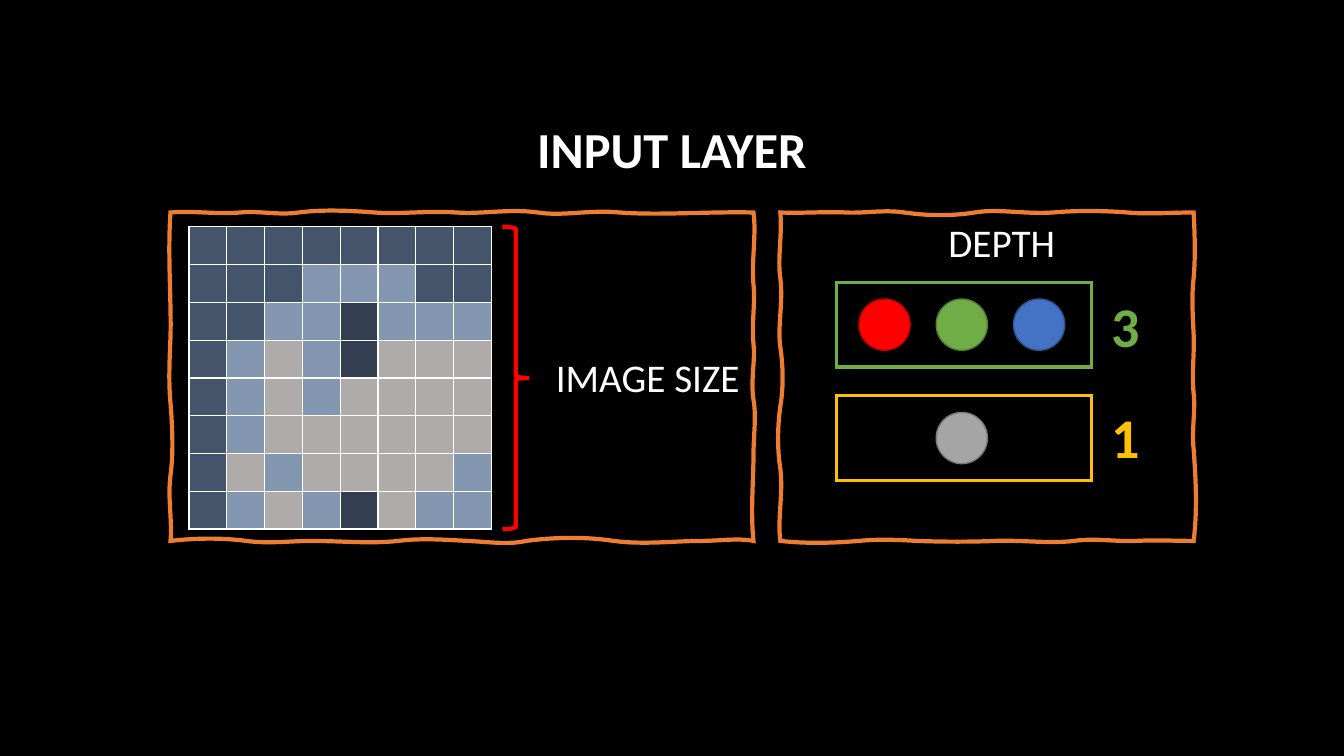
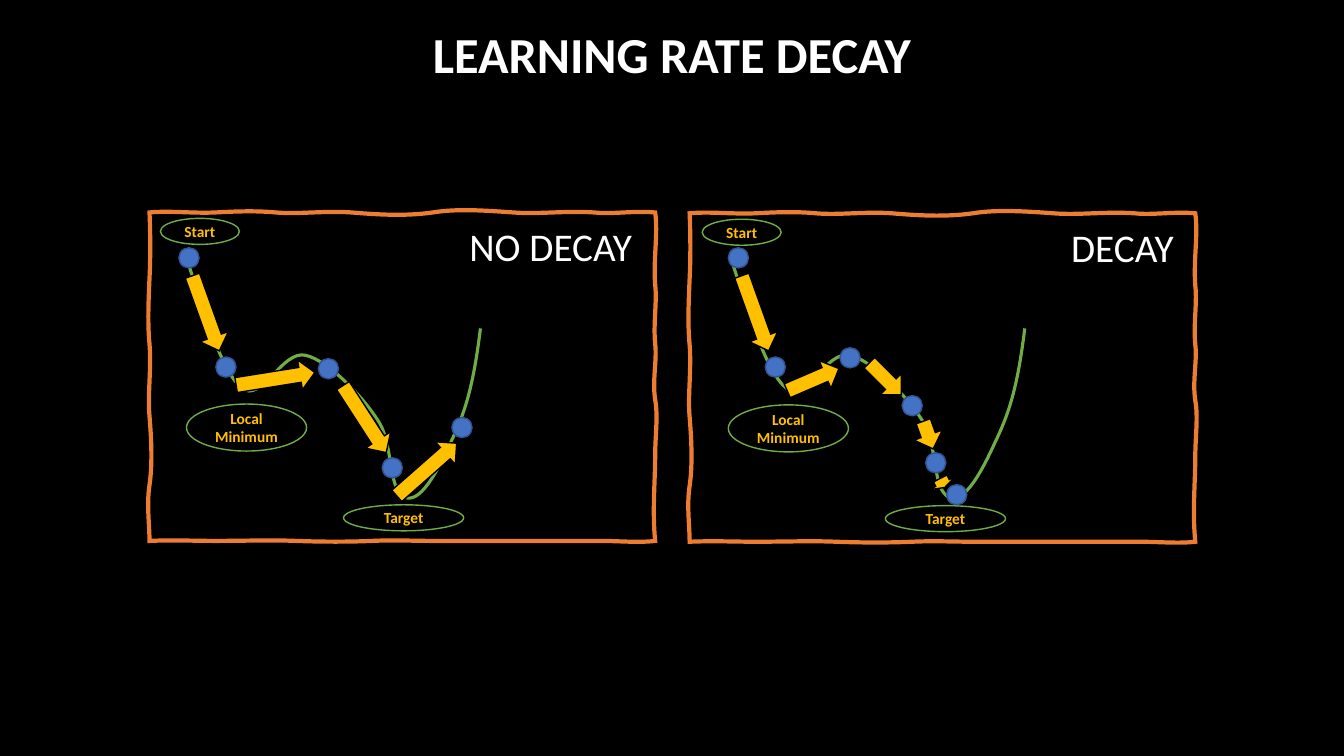
from lxml.etree import SubElement
from pptx import Presentation
from pptx.dml.color import RGBColor
from pptx.enum.shapes import MSO_SHAPE
from pptx.enum.text import MSO_ANCHOR, MSO_AUTO_SIZE, PP_ALIGN
from pptx.oxml.ns import qn
from pptx.util import Inches, Pt

# Grid of 16 columns by 9 rows; all lengths below are counted in its cells
SLIDE_W, SLIDE_H = Inches(13.333), Inches(7.5)
CELL = SLIDE_H / 9

# Shared look
FONT = "Calibri"
BLACK = RGBColor(0x00, 0x00, 0x00)
WHITE = RGBColor(0xFF, 0xFF, 0xFF)
ORANGE = RGBColor(0xED, 0x7D, 0x31)
GOLD = RGBColor(0xFF, 0xC0, 0x00)
GREEN = RGBColor(0x70, 0xAD, 0x47)
DARK_GREEN = RGBColor(0x53, 0x80, 0x35)
BLUE = RGBColor(0x44, 0x72, 0xC4)
DARK_BLUE = RGBColor(0x32, 0x54, 0x91)
RED = RGBColor(0xFF, 0x00, 0x00)
DARK_RED = RGBColor(0xC0, 0x00, 0x00)
GRAY = RGBColor(0xA5, 0xA5, 0xA5)
DARK_GRAY = RGBColor(0x7A, 0x7A, 0x7A)

# Pixels of the input image: slate, mist, night, stone
PIXEL_COLORS = {
    "s": RGBColor(0x44, 0x54, 0x6A),
    "m": RGBColor(0x84, 0x97, 0xB0),
    "n": RGBColor(0x33, 0x3F, 0x50),
    "t": RGBColor(0xAF, 0xAB, 0xAB),
}
PIXEL_ROWS = ["ssssssss", "sssmmmss", "ssmmnmmm", "smtmnttt",
              "smtmtttt", "smtttttt", "stmttttm", "smtmntmm"]

# Sketchy sides, clockwise from the top: stops as shares of the side, then
# the sway on leaving the corner and on reaching each stop
SWAY_UNIT = 0.012
SWAYING_RIGHT = ((0.22, 0.4, 0.57, 0.74, 1), (3, -2, -2, -3, 0, -3))
SIZE_SIDES = [
    ((0.12, 0.22, 0.35, 0.49, 0.63, 0.77, 1), (-2, 2, 3, -2, -2, -4, -3, -1)),
    SWAYING_RIGHT,
    ((0.09, 0.24, 0.39, 0.49, 0.61, 0.76, 0.87, 1),
     (-3, 0, 4, -4, 1, -3, 0, 3, -3)),
    ((0.2, 0.42, 0.62, 1), (2, -3, 2, -1, -3)),
]
DEPTH_SIDES = [
    ((0.16, 0.3, 0.47, 0.66, 0.84, 1), (1, -1, -3, 4, 2, -2, 0)),
    ((0.2, 0.37, 0.55, 0.72, 1), (1, 2, -1, -2, -2, 4)),
    ((0.14, 0.29, 0.48, 0.67, 0.81, 1), (0, -1, -3, -1, 1, -2, 3)),
    ((0.22, 0.41, 0.59, 0.8, 1), (-3, 3, -3, 3, 3, 2)),
]
DESCENT_SIDES = [
    ((0.13, 0.25, 0.4, 0.56, 0.72, 0.88, 1), (-2, 1, -2, -2, 4, -2, -2, -2)),
    SWAYING_RIGHT,
    ((0.11, 0.28, 0.44, 0.56, 0.71, 0.87, 1), (2, 0, 0, 0, -1, 1, 0, -1)),
    ((0.17, 0.38, 0.6, 0.8, 1), (0, -3, 2, 2, -1, 1)),
]

# Loss curve: Bezier segments of two handles and an end
VALLEY = [
    ((0.22, 0.67), (0.42, 1.36), (0.66, 1.55)),
    ((0.89, 1.74), (1.14, 1.09), (1.42, 1.16)),
    ((1.68, 1.22), (2.08, 1.63), (2.27, 1.92)),
    ((2.47, 2.2), (2.39, 2.71), (2.58, 2.84)),
    ((2.77, 2.96), (2.99, 2.54), (3.14, 2.21)),
    ((3.3, 1.88), (3.41, 1.58), (3.5, 0.84)),
]

# Steps are measured from the start of the curve; arrows: x, y, length, angle
NO_DECAY_DOTS = [(0.03, 0), (0.47, 1.3), (1.69, 1.32), (2.45, 2.5),
                 (3.28, 2.02)]
NO_DECAY_ARROWS = [(0.23, 0.66, 0.95, 70.3), (1.06, 1.44, 0.95, 350.9),
                   (2.12, 1.92, 0.95, 57.1), (2.86, 2.52, 0.95, 318.6)]
DECAY_DOTS = [(0.09, 0), (0.53, 1.3), (1.42, 1.19), (2.16, 1.76),
              (2.44, 2.44), (2.69, 2.82)]
DECAY_ARROWS = [(0.29, 0.66, 0.95, 70.3), (0.98, 1.45, 0.67, 336.7),
                (1.84, 1.44, 0.54, 45.2), (2.35, 2.11, 0.35, 70.3),
                (2.52, 2.68, 0.12, 62.9)]


def cells(*counts):
    return [round(count * CELL) for count in counts]


# Text
def write(frame, text, size, color, bold=False, align=PP_ALIGN.LEFT):
    frame.word_wrap = True
    frame.auto_size = MSO_AUTO_SIZE.NONE
    paragraph = frame.paragraphs[0]
    paragraph.alignment = align
    run = paragraph.add_run()
    run.text = text
    run.font.name = FONT
    run.font.size = Pt(size)
    run.font.bold = bold
    run.font.color.rgb = color


def add_text(slide, box, text, size=28, color=WHITE, **style):
    write(slide.shapes.add_textbox(*cells(*box)).text_frame,
          text, size, color, **style)


def add_titled_slide(prs, title, top):
    slide = prs.slides.add_slide(prs.slide_layouts.get_by_name("Title Only"))
    heading = slide.shapes.title
    heading.left, heading.top, heading.width, heading.height = cells(
        4.25, top, 7.5, 0.85)
    heading.text_frame.vertical_anchor = MSO_ANCHOR.TOP
    write(heading.text_frame, title, 36, WHITE, True, PP_ALIGN.CENTER)
    return slide


# Shapes
def paint(shape, fill, line, width):
    shape.shadow.inherit = False
    if fill is None:
        shape.fill.background()
    else:
        shape.fill.solid()
        shape.fill.fore_color.rgb = fill
    shape.line.color.rgb = line
    shape.line.width = Pt(width)
    # Sharp corners
    outline = shape._element.spPr.find(qn("a:ln"))
    SubElement(outline, qn("a:miter"), lim="800000")


def add_preset(slide, kind, box, fill, line, width=1):
    shape = slide.shapes.add_shape(kind, *cells(*box))
    paint(shape, fill, line, width)
    return shape


def add_circle(slide, x, y, diameter, fill, line):
    add_preset(slide, MSO_SHAPE.OVAL,
               (x - diameter / 2, y - diameter / 2, diameter, diameter),
               fill, line)


def add_step_arrow(slide, x, y, length, angle, thickness=0.36):
    arrow = add_preset(slide, MSO_SHAPE.RIGHT_ARROW,
                       (x - length / 2, y - thickness / 2, length, thickness),
                       GOLD, BLACK)
    arrow.rotation = angle


def add_label(slide, box, text):
    label = add_preset(slide, MSO_SHAPE.OVAL, box, BLACK, GREEN)
    frame = label.text_frame
    frame.margin_left = frame.margin_right = 0
    frame.margin_top = frame.margin_bottom = 0
    frame.vertical_anchor = MSO_ANCHOR.MIDDLE
    write(frame, text, 11, GOLD, True, PP_ALIGN.CENTER)


def add_curve(slide, start, segments, color, width, close=False):
    """Freeform through the segment ends, bent by the segment handles."""
    builder = slide.shapes.build_freeform(*cells(*start))
    builder.add_line_segments([cells(*end) for _, _, end in segments], close)
    curve = builder.convert_to_shape()
    straights = list(curve._element.iter(qn("a:lnTo")))
    for straight, segment in zip(straights, segments):
        straight.tag = qn("a:cubicBezTo")
        straight.remove(straight[0])
        for point in segment:
            x, y = cells(*point)
            SubElement(straight, qn("a:pt"),
                       x=str(x - curve.left), y=str(y - curve.top))
    paint(curve, None, color, width)


def add_sketch_frame(slide, left, top, width, height, sides):
    right, bottom = left + width, top + height
    courses = [(left, top, width, 0), (right, top, 0, height),
               (right, bottom, -width, 0), (left, bottom, 0, -height)]
    segments = []
    for (x, y, run, rise), (stops, sways) in zip(courses, sides):
        def spot(share, sway=0):
            offset = sway * SWAY_UNIT
            return (x + run * share + (offset if rise else 0),
                    y + rise * share + (offset if run else 0))

        begin, leaving = 0, sways[0]
        for stop, reaching in zip(stops, sways[1:]):
            length = stop - begin
            segments.append((spot(begin + 0.3 * length, leaving),
                             spot(begin + 0.65 * length, reaching),
                             spot(stop)))
            begin, leaving = stop, -reaching
    add_curve(slide, (left, top), segments, ORANGE, 3, close=True)


def add_valley(slide, left, top):
    segments = [[(left + x, top + y) for x, y in segment]
                for segment in VALLEY]
    add_curve(slide, (left, top), segments, GREEN, 2.25)


# Pixel table
def add_cell_borders(cell, color, width):
    properties = cell._tc.get_or_add_tcPr()
    for side in ("a:lnL", "a:lnR", "a:lnT", "a:lnB"):
        border = SubElement(properties, qn(side), w=str(Pt(width)))
        fill = SubElement(border, qn("a:solidFill"))
        SubElement(fill, qn("a:srgbClr"), val=str(color))


def add_pixel_table(slide, left, top, side):
    count = len(PIXEL_ROWS)
    pixels = slide.shapes.add_table(
        count, count, *cells(left, top, side, side)).table
    pixels.first_row = pixels.horz_banding = False
    for r, row in enumerate(PIXEL_ROWS):
        for c, key in enumerate(row):
            pixel = pixels.cell(r, c)
            pixel.margin_left = pixel.margin_right = 0
            pixel.margin_top = pixel.margin_bottom = 0
            add_cell_borders(pixel, WHITE, 1)
            pixel.fill.solid()
            pixel.fill.fore_color.rgb = PIXEL_COLORS[key]


# Panels
def add_channel_box(slide, top, count_top, color, channels):
    height, pitch, center = 1.01, 0.92, 11.45
    first = center - pitch * (len(channels) - 1) / 2
    for i, (fill, line) in enumerate(channels):
        add_circle(slide, first + i * pitch, top + height / 2, 0.61,
                   fill, line)
    add_preset(slide, MSO_SHAPE.RECTANGLE, (9.96, top, 3.03, height),
               None, color, 2.25)
    add_text(slide, (12.94, count_top, 0.92, 0.92), str(len(channels)),
             40, color, bold=True, align=PP_ALIGN.CENTER)


def add_descent_panel(slide, left, top, heading, label_left, valley_left,
                      dots, arrows):
    valley_top = 3.07
    add_valley(slide, valley_left, valley_top)
    add_sketch_frame(slide, left, top, 6.02, 3.91, DESCENT_SIDES)
    add_text(slide, (label_left + 1.49, top + 0.06, 4.24, 0.69), heading,
             align=PP_ALIGN.RIGHT)
    add_label(slide, (label_left, top + 0.07, 0.94, 0.31), "Start")
    add_label(slide, (label_left + 2.18, top + 3.48, 1.43, 0.31), "Target")
    add_label(slide, (label_left + 0.31, top + 2.28, 1.43, 0.56),
              "Local Minimum")
    for x, y in dots:
        add_circle(slide, valley_left + x, valley_top + y, 0.24,
                   BLUE, DARK_BLUE)
    for x, y, length, angle in arrows:
        add_step_arrow(slide, valley_left + x, valley_top + y, length, angle)


# Slides
def build_input_layer(prs):
    slide = add_titled_slide(prs, "INPUT LAYER", 1.35)
    add_pixel_table(slide, 2.25, 2.7, 3.6)
    add_preset(slide, MSO_SHAPE.RIGHT_BRACE, (5.98, 2.7, 0.32, 3.6),
               None, RED, 3)
    add_text(slide, (6.5, 4.15, 2.52, 0.69), "IMAGE SIZE")
    add_text(slide, (10.4, 2.54, 3.05, 0.69), "DEPTH", align=PP_ALIGN.CENTER)
    add_sketch_frame(slide, 2.03, 2.53, 6.94, 3.91, SIZE_SIDES)
    add_sketch_frame(slide, 9.29, 2.53, 4.92, 3.91, DEPTH_SIDES)
    add_channel_box(slide, 3.36, 3.41, GREEN, [
        (RED, DARK_RED), (GREEN, DARK_GREEN), (BLUE, DARK_BLUE)])
    add_channel_box(slide, 4.71, 4.73, GOLD, [(GRAY, DARK_GRAY)])


def build_learning_rate_decay(prs):
    slide = add_titled_slide(prs, "LEARNING RATE DECAY", 0.22)
    add_descent_panel(slide, 1.78, 2.53, "NO DECAY", 1.91, 2.22,
                      NO_DECAY_DOTS, NO_DECAY_ARROWS)
    add_descent_panel(slide, 8.21, 2.54, "DECAY", 8.36, 8.7,
                      DECAY_DOTS, DECAY_ARROWS)


def main():
    prs = Presentation()
    prs.slide_width, prs.slide_height = SLIDE_W, SLIDE_H
    backdrop = prs.slide_master.background.fill
    backdrop.solid()
    backdrop.fore_color.rgb = BLACK
    build_input_layer(prs)
    build_learning_rate_decay(prs)
    prs.save("out.pptx")


main()
